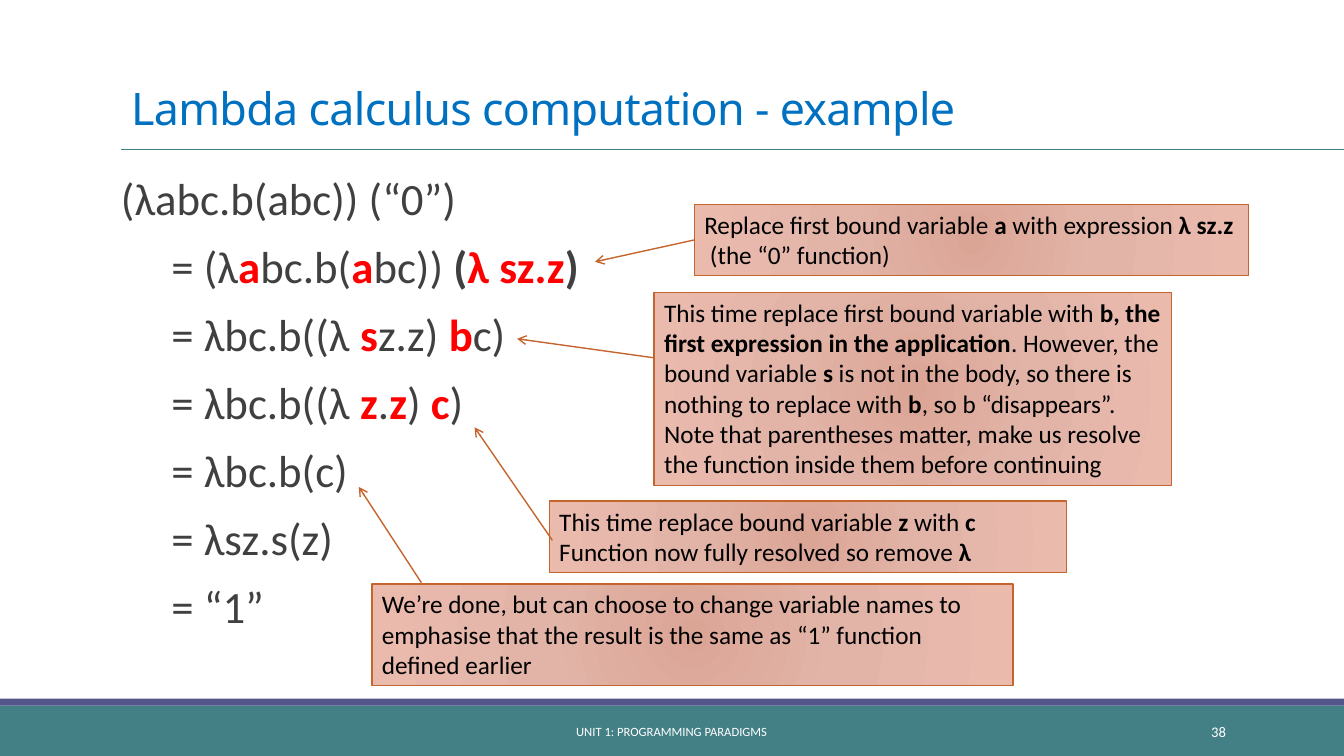
from lxml.etree import SubElement
from pptx import Presentation
from pptx.dml.color import RGBColor
from pptx.enum.shapes import MSO_CONNECTOR, MSO_SHAPE
from pptx.enum.text import MSO_ANCHOR, MSO_AUTO_SIZE, PP_ALIGN
from pptx.oxml import parse_xml
from pptx.oxml.ns import nsdecls, qn
from pptx.util import Pt

TEAL = RGBColor(0x43, 0x80, 0x86)
PURPLE = RGBColor(0x53, 0x54, 0x8A)
BLUE = RGBColor(0x00, 0x70, 0xC0)
GREY = RGBColor(0x40, 0x40, 0x40)
RED = RGBColor(0xFF, 0x00, 0x00)
RUST = RGBColor(0xC4, 0x65, 0x2D)
BLACK = RGBColor(0x00, 0x00, 0x00)
WHITE = RGBColor(0xFF, 0xFF, 0xFF)
ROSE = (
    (0, RGBColor(0xDB, 0xA5, 0x96)),
    (45, RGBColor(0xE2, 0xB4, 0xA8)),
    (100, RGBColor(0xEA, 0xBA, 0xAD)),
)

# In marked text, * switches bold and ^ switches red.
STEPS = (
    "(λabc.b(abc))\u00a0(“0”)",
    "= (λ*^a^*bc.b(*^a^*bc))\u00a0*(^λ sz.z^)*",
    "=\u00a0λbc.b((λ\u00a0*^s^*z.z)\u00a0*^b^*c)",
    "=\u00a0λbc.b((λ\u00a0*^z^*.*^z^*)\u00a0*^c^*)",
    "=\u00a0λbc.b(c)",
    "= λsz.s(z)",
    "= “1”",
)

# Each note: box, arrow start, arrow end, paragraphs.
NOTES = (
    ((496, 146, 396, 51), (496, 171.4), (425, 187),
     ("Replace first bound variable *a* with expression *λ sz.z * (the “0” function)",)),
    ((467.3, 208.8, 369.4, 138.2), (467.3, 255.6), (369.4, 242),
     ("This time replace first bound variable with *b, the first expression in "
      "the application*. However, the bound variable *s* is not in the body, so "
      "there is nothing to replace with *b*, so b “disappears”. Note that "
      "parentheses matter, make us resolve the function inside them before "
      "continuing",)),
    ((392.4, 357.8, 369.4, 51), (394.6, 386), (339, 305.3),
     ("This time replace bound variable *z* with *c*",
      "Function now fully resolved so remove *λ*")),
    ((265.7, 417, 458, 72.7), (301, 416.2), (256.3, 347.8),
     ("We’re done, but can choose to change variable names to emphasise that "
      "the result is the same as “1” function defined earlier",)),
)


class Deck:
    """Holds the style and the current slide."""

    font = "Calibri"
    head = "Noto Sans"

    def __init__(self, slide):
        """Keep the slide to draw on."""
        self.slide = slide
        self.shapes = slide.shapes

    def place(self, shape, box):
        """Move a shape to a box given in points."""
        shape.left, shape.top, shape.width, shape.height = map(Pt, box)

    def style(self, para, size, color, name=None):
        """Set the font of a whole paragraph."""
        font = para.font
        font.name, font.size = name or self.font, Pt(size)
        font.color.rgb = color

    def put(self, frame, lines, size, color):
        """Fill a frame with marked lines and return its paragraphs."""
        for num, line in enumerate(lines):
            para = frame.add_paragraph() if num else frame.paragraphs[0]
            self.style(para, size, color)
            red = False
            for odd, part in enumerate(line.split("*")):
                for turn, text in enumerate(part.split("^")):
                    red ^= turn > 0
                    if text:
                        run = para.add_run()
                        run.text = text
                        if odd % 2:
                            run.font.bold = True
                        if red:
                            run.font.color.rgb = RED
        return frame.paragraphs

    def title(self, text, box):
        """Set the title."""
        shape = self.shapes.title
        self.place(shape, box)
        frame = shape.text_frame
        frame.text = text
        frame.auto_size = MSO_AUTO_SIZE.NONE
        frame.vertical_anchor = MSO_ANCHOR.BOTTOM
        para = frame.paragraphs[0]
        para.alignment, para.line_spacing = PP_ALIGN.LEFT, 0.85
        self.style(para, 32, BLUE, self.head)
        para.runs[0]._r.get_or_add_rPr().set("spc", "-50")

    def steps(self, lines, box):
        """Set the list: first line flush, the rest indented, no bullets."""
        shape = self.slide.placeholders[1]
        self.place(shape, box)
        frame = shape.text_frame
        frame.auto_size = MSO_AUTO_SIZE.NONE
        frame.margin_left = frame.margin_right = 0
        for num, para in enumerate(self.put(frame, lines, 32, GREY)):
            para.line_spacing = 0.9
            para.space_before, para.space_after = Pt(12), Pt(2)
            props = para._p.get_or_add_pPr()
            props.set("marL", str(Pt(36 if num else 0)))
            props.set("indent", "0")
            props.find(qn("a:defRPr")).addprevious(
                parse_xml(f"<a:buNone {nsdecls('a')}/>"))

    def bar(self, box, color):
        """Draw a plain filled bar."""
        shape = self.shapes.add_shape(MSO_SHAPE.RECTANGLE, *map(Pt, box))
        shape.shadow.inherit = False
        shape.fill.solid()
        shape.fill.fore_color.rgb = color
        shape.line.fill.background()

    def line(self, start, end, color, width, arrow=False):
        """Draw a straight line, with an open arrowhead if asked."""
        link = self.shapes.add_connector(
            MSO_CONNECTOR.STRAIGHT, *map(Pt, start + end))
        link.line.color.rgb, link.line.width = color, Pt(width)
        props = link._element.spPr
        if arrow:
            SubElement(props.find(qn("a:ln")), qn("a:tailEnd"), type="arrow")
        SubElement(props, qn("a:effectLst"))

    def label(self, text, box, size, align):
        """Add a small footer text."""
        frame = self.shapes.add_textbox(*map(Pt, box)).text_frame
        frame.word_wrap = True
        frame.vertical_anchor = MSO_ANCHOR.MIDDLE
        self.put(frame, [text], size, WHITE)[0].alignment = align

    def note(self, box, start, end, lines):
        """Draw a note with a radial fill and its arrow."""
        shape = self.shapes.add_shape(MSO_SHAPE.RECTANGLE, *map(Pt, box))
        shape.shadow.inherit = False
        stops = "".join(
            f'<a:gs pos="{pos * 1000}"><a:srgbClr val="{color}"/></a:gs>'
            for pos, color in ROSE)
        shape._element.spPr.find(qn("a:prstGeom")).addnext(parse_xml(
            f'<a:gradFill {nsdecls("a")}><a:gsLst>{stops}</a:gsLst>'
            '<a:path path="circle"><a:fillToRect l="100000" t="100000" '
            'r="100000" b="100000"/></a:path></a:gradFill>'))
        shape.line.color.rgb, shape.line.width = RUST, Pt(1)
        frame = shape.text_frame
        frame.word_wrap = True
        frame.auto_size = MSO_AUTO_SIZE.SHAPE_TO_FIT_TEXT
        frame.vertical_anchor = MSO_ANCHOR.TOP
        for para in self.put(frame, lines, 18, BLACK):
            para.alignment = PP_ALIGN.LEFT
        self.line(start, end, RUST, 1, arrow=True)


def main():
    """Build and save the slide."""
    show = Presentation()
    show.slide_width, show.slide_height = Pt(960), Pt(540)
    deck = Deck(show.slides.add_slide(show.slide_layouts[1]))
    deck.bar((0, 504, 960, 36), TEAL)
    deck.bar((0, 499, 960, 5), PURPLE)
    deck.line((86.4, 107), (960, 107), TEAL, 0.5)
    deck.title("Lambda calculus computation - example", (86.4, 22.3, 792, 77.8))
    deck.steps(STEPS, (86.4, 122.4, 792, 359.3))
    deck.label("UNIT 1: PROGRAMMING PARADIGMS", (290, 508.3, 379.4, 28.8),
               9, PP_ALIGN.CENTER)
    deck.label("38", (779.8, 508.3, 103, 28.8), 10.5, PP_ALIGN.RIGHT)
    for note in NOTES:
        deck.note(*note)
    show.save("out.pptx")


main()
